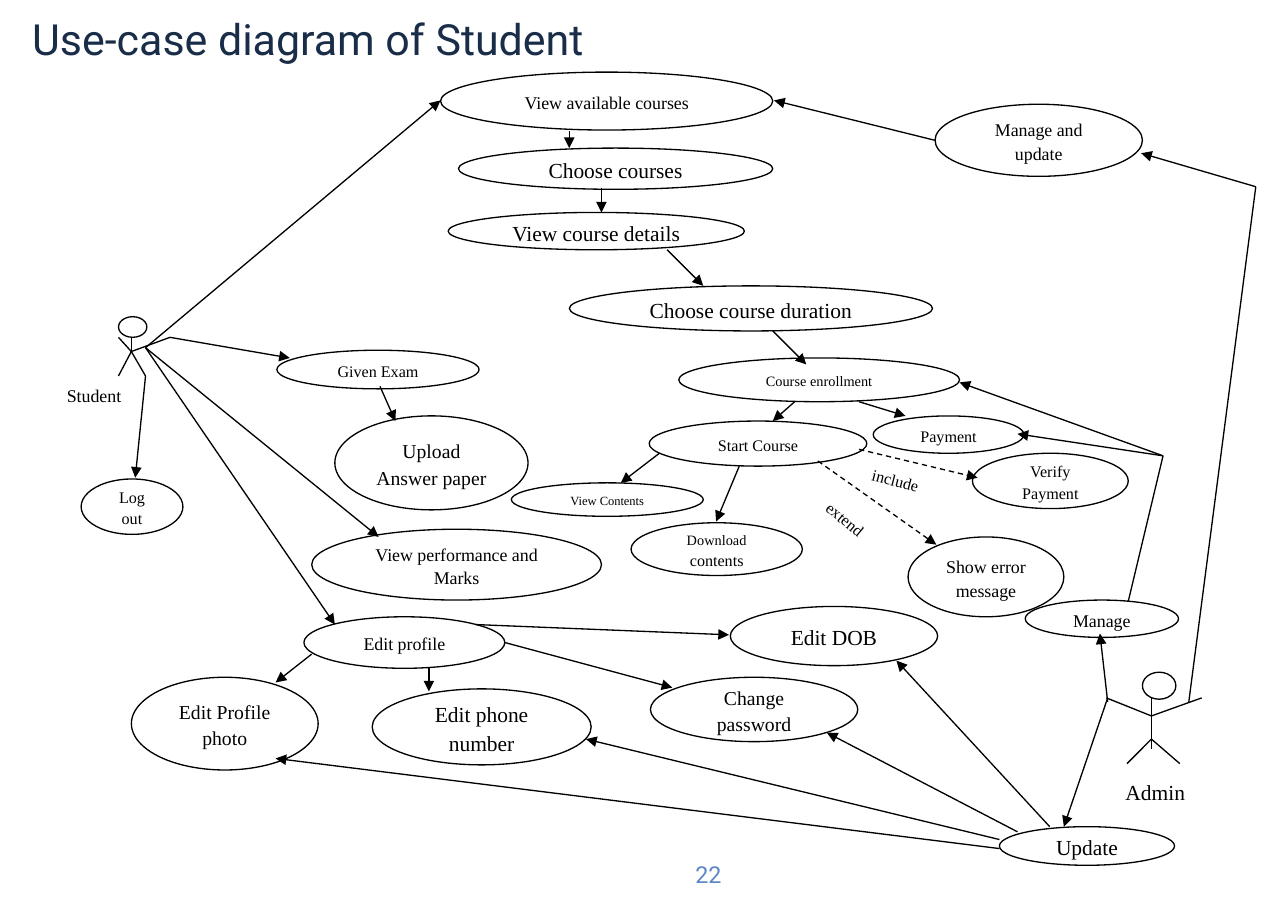
from lxml.etree import SubElement
from pptx import Presentation
from pptx.dml.color import RGBColor
from pptx.enum.dml import MSO_LINE
from pptx.enum.shapes import MSO_CONNECTOR, MSO_SHAPE
from pptx.enum.text import MSO_ANCHOR as ANCHOR, PP_ALIGN as ALIGN
from pptx.oxml.ns import qn
from pptx.util import Inches, Pt

SERIF, SANS = "Times New Roman", "Roboto"
BLACK, WHITE, NAVY, BLUE = "000000", "FFFFFF", "192D49", "5B87C8"
BODY = {"line_spacing": 1.11, "space_after": Pt(10.4)}
NO_INSETS = dict.fromkeys(
    ("margin_left", "margin_top", "margin_right", "margin_bottom"), 0)
OVAL, CIRCLE = MSO_SHAPE.OVAL, MSO_SHAPE.FLOWCHART_CONNECTOR

# text runs as (text, size), box, outline
USE_CASES = [
    # choosing and taking a course
    ([("View available courses", 10)], (3.42, 0.56, 2.58, 0.45), OVAL),
    ([("Choose courses", 12)], (3.56, 1.15, 2.44, 0.32), OVAL),
    ([("View course details", 12)], (3.48, 1.65, 2.3, 0.29), OVAL),
    ([("Choose course duration", 12)], (4.42, 2.22, 2.82, 0.35), OVAL),
    ([("Course enrollment", 8)], (5.27, 2.78, 2.18, 0.34), OVAL),
    ([("Payment", 9)], (6.78, 3.23, 1.17, 0.29), OVAL),
    ([("Start Course", 9)], (5.04, 3.27, 1.69, 0.35), OVAL),
    ([("View Contents", 7)], (3.97, 3.75, 1.49, 0.26), OVAL),
    ([("Download ", 8), ("contents", 9)], (4.9, 4.06, 1.33, 0.41), OVAL),
    ([("Verify Payment", 9)], (7.55, 3.52, 1.21, 0.43), CIRCLE),
    ([("Show error message", 10)], (7.05, 4.17, 1.21, 0.62), OVAL),
    # exam and session
    ([("Given Exam", 9)], (2.15, 2.72, 1.57, 0.3), OVAL),
    ([("Upload Answer paper", 11)], (2.6, 3.23, 1.5, 0.73), CIRCLE),
    ([("View performance and Marks", 10)], (2.42, 4.11, 2.25, 0.55), OVAL),
    ([("Log out", 9)], (0.63, 3.72, 0.79, 0.43), OVAL),
    # profile
    ([("Edit profile", 10)], (2.36, 4.79, 1.56, 0.4), OVAL),
    ([("Edit Profile photo", 11)], (1.02, 5.26, 1.45, 0.72), OVAL),
    ([("Edit phone number", 12)], (2.89, 5.35, 1.7, 0.59), OVAL),
    ([("Change password", 11)], (5.05, 5.26, 1.61, 0.5), OVAL),
    ([("Edit DOB", 12)], (5.67, 4.71, 1.61, 0.46), OVAL),
    # administration
    ([("Manage and update", 10)], (7.26, 0.81, 1.61, 0.56), CIRCLE),
    ([("Manage", 10)], (7.96, 4.66, 1.19, 0.29), OVAL),
    ([("Update", 12)], (7.76, 6.42, 1.36, 0.3), OVAL),
]

STUDENT_HAND, ADMIN_ELBOW, ENROLMENT_BEND = (1.13, 2.7), (9.75, 1.45), (9.03, 3.54)
ARROWS = [
    (STUDENT_HAND, (3.42, 0.78)), (STUDENT_HAND, (2.94, 4.17)),
    (STUDENT_HAND, (2.6, 4.85)), ((1.32, 2.62), (2.25, 2.78)),
    ((1.13, 2.92), (1.05, 3.71)), ((2.95, 3), (3.07, 3.27)),
    ((4.42, 1.02), (4.42, 1.15)), ((4.67, 1.46), (4.67, 1.65)),
    ((5.18, 1.94), (5.46, 2.22)), ((6, 2.57), (6.26, 2.83)),
    ((6.67, 3.12), (7.03, 3.23)), ((6.17, 3.12), (6, 3.27)),
    ((5.12, 3.52), (4.82, 3.75)), ((5.74, 3.62), (5.56, 4.05)),
    ((2.42, 5.08), (2.14, 5.3)), ((3.69, 4.85), (5.66, 4.93)),
    ((3.33, 5.19), (3.33, 5.37)), ((3.92, 4.99), (5.22, 5.34)),
    ((7.26, 1.09), (6.01, 0.78)), (ADMIN_ELBOW, (8.86, 1.19)),
    ((8.6, 5.45), (8.54, 4.92)), ((8.6, 5.42), (8.26, 6.42)),
    (ENROLMENT_BEND, (7.9, 3.37)), (ENROLMENT_BEND, (7.45, 2.97)),
    ((8.15, 6.42), (6.96, 5.13)), ((7.9, 6.46), (6.42, 5.69)),
    ((7.76, 6.52), (4.55, 5.74)), ((7.76, 6.59), (2.14, 5.89)),
]
PLAIN_LINKS = [((9.23, 5.45), ADMIN_ELBOW), ((8.76, 4.67), ENROLMENT_BEND)]
DASHED_ARROWS = [((6.67, 3.49), (7.59, 3.71)), ((6.35, 3.58), (7.27, 4.23))]

# limbs are measured from the top left corner of the actor's box
STUDENT_LIMBS = [
    ((0.1, 0.16), (0.1, 0.27)), ((0, 0.16), (0.1, 0.27)), ((0.4, 0.16), (0.1, 0.27)),
    ((0.1, 0.27), (0, 0.46)), ((0.1, 0.27), (0.21, 0.46)),
]
ADMIN_LIMBS = [
    ((0.35, 0.2), (0.35, 0.6)), ((0, 0.2), (0.35, 0.34)), ((0.74, 0.2), (0.35, 0.34)),
    ((0.35, 0.52), (0.16, 0.71)), ((0.35, 0.52), (0.57, 0.71)),
]


def rgb(hex_code):
    return RGBColor.from_string(hex_code)


def inches(box):
    return [Inches(length) for length in box]


def write(frame, runs, font, color, paragraph_format, frame_format):
    for name, value in {"word_wrap": True, **frame_format}.items():
        setattr(frame, name, value)
    paragraph = frame.paragraphs[0]
    for name, value in paragraph_format.items():
        setattr(paragraph, name, value)
    for text, size in runs:
        run = paragraph.add_run()
        run.text = text
        for name, value in {"name": font, "size": Pt(size)}.items():
            setattr(run.font, name, value)
        run.font.color.rgb = rgb(color)


def add_outline(slide, preset, box, line_color=BLACK, line_width=0.75):
    outline = slide.shapes.add_shape(preset, *inches(box))
    outline.shadow.inherit = False
    outline.fill.solid()
    outline.fill.fore_color.rgb = rgb(WHITE)
    outline.line.color.rgb = rgb(line_color)
    outline.line.width = Pt(line_width)
    return outline


def add_link(slide, start, end, arrow=True, dashed=False):
    link = slide.shapes.add_connector(MSO_CONNECTOR.STRAIGHT, *inches(start + end))
    link.line.color.rgb = rgb(BLACK)
    link.line.width = Pt(0.75)
    if dashed:
        link.line.dash_style = MSO_LINE.DASH
    if arrow:
        SubElement(link.line._get_or_add_ln(), qn("a:tailEnd"), type="triangle")
    SubElement(link._element.spPr, qn("a:effectLst"))


def add_heading(slide, box, runs, color, paragraph_format, anchor):
    heading = slide.shapes.add_textbox(*inches(box))
    write(heading.text_frame, runs, SANS, color, paragraph_format,
          {"vertical_anchor": anchor, **NO_INSETS})


def add_use_case(slide, box, runs, preset):
    oval = add_outline(slide, preset, box)
    write(oval.text_frame, runs, SERIF, BLACK, {"alignment": ALIGN.CENTER, **BODY},
          {"vertical_anchor": ANCHOR.MIDDLE})
    return oval


def add_label(slide, box, text, size, rotation=0, line_width=0.75):
    label = add_outline(slide, MSO_SHAPE.RECTANGLE, box, WHITE, line_width)
    label.rotation = rotation
    write(label.text_frame, [(text, size)], SERIF, BLACK,
          {"alignment": ALIGN.JUSTIFY, **BODY}, {"vertical_anchor": ANCHOR.TOP})


def add_actor(slide, left, top, head, limbs):
    """Draw a stick figure; head is its offset from left and its size."""
    offset, width, height = head
    add_outline(slide, OVAL, (left + offset, top, width, height))
    for limb in limbs:
        start, end = [(left + x, top + y) for x, y in limb]
        add_link(slide, start, end, arrow=False)


def main():
    deck = Presentation()
    deck.slide_width, deck.slide_height = inches((10, 7.09))
    slide = deck.slides.add_slide(deck.slide_layouts[6])

    add_heading(slide, (0.25, 0.14, 4.83, 0.55), [("Use-case diagram of Student", 24)],
                NAVY, {"line_spacing": 0.9}, ANCHOR.TOP)
    add_heading(slide, (5.2, 6.52, 0.6, 0.54), [("22", 13)],
                BLUE, {"alignment": ALIGN.CENTER}, ANCHOR.MIDDLE)

    add_label(slide, (0.42, 2.92, 0.78, 0.24), "Student", 10)
    add_label(slide, (8.64, 5.98, 0.74, 0.23), "Admin", 12)
    add_actor(slide, 0.92, 2.46, (0, 0.22, 0.16), STUDENT_LIMBS)
    add_actor(slide, 8.59, 5.22, (0.28, 0.26, 0.21), ADMIN_LIMBS)

    for runs, box, preset in USE_CASES:
        oval = add_use_case(slide, box, runs, preset)
        if runs[0][0] == "Edit profile":
            oval.text_frame.vertical_anchor = ANCHOR.TOP

    for start, end in ARROWS:
        add_link(slide, start, end)
    for start, end in PLAIN_LINKS:
        add_link(slide, start, end, arrow=False)
    for start, end in DASHED_ARROWS:
        add_link(slide, start, end, dashed=True)

    add_label(slide, (6.67, 3.61, 0.75, 0.26), "include", 9, 14.7, 0.5)
    add_label(slide, (6.27, 3.91, 0.61, 0.34), "extend", 9, 39.9, 0.5)
    deck.save("out.pptx")


if __name__ == "__main__":
    main()
